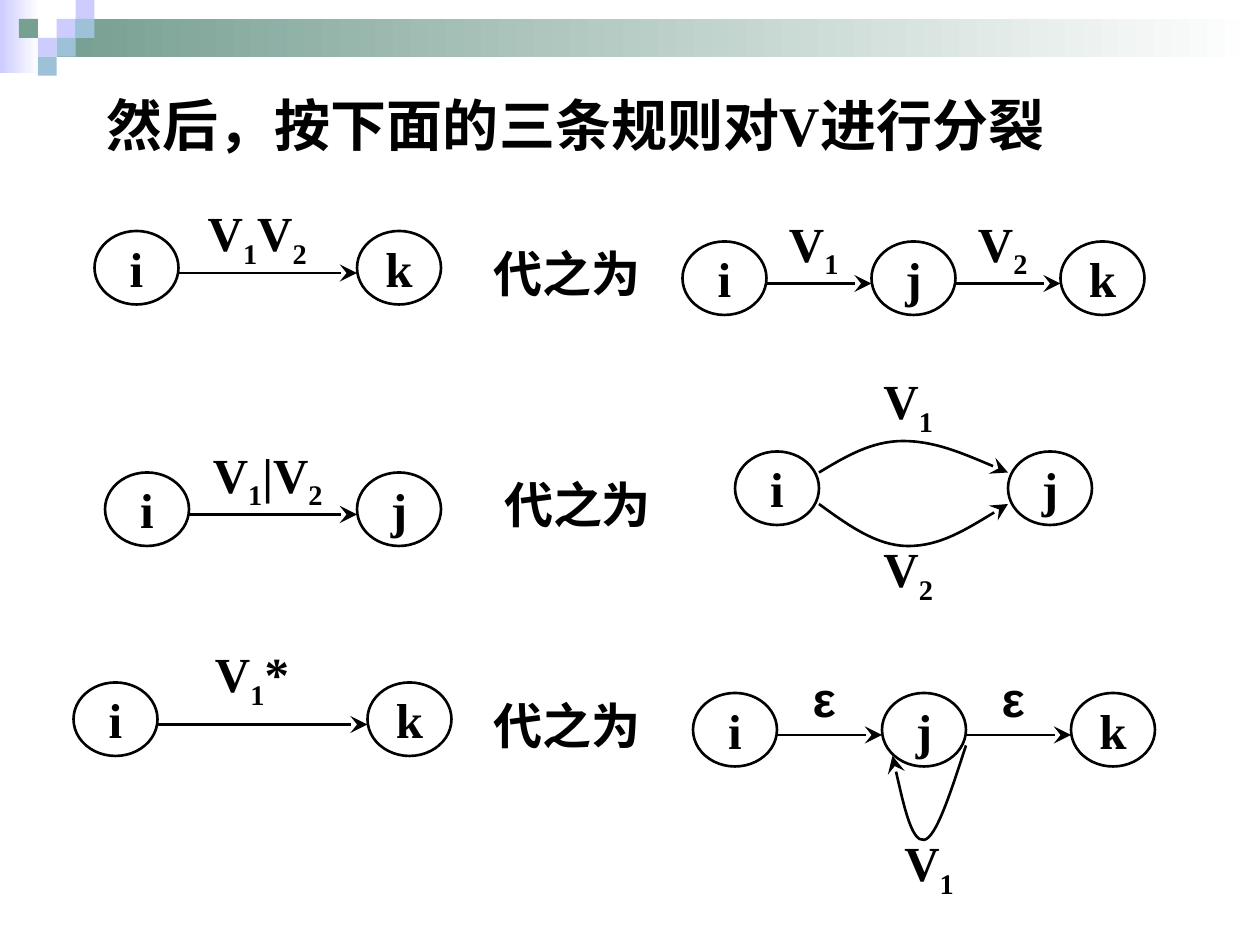
"""Build the slide with the three rules for splitting a regular expression edge."""
from dataclasses import dataclass
from itertools import groupby

from pptx import Presentation
from pptx.dml.color import RGBColor
from pptx.enum.shapes import MSO_CONNECTOR, MSO_SHAPE
from pptx.enum.text import MSO_ANCHOR, PP_ALIGN
from pptx.oxml.ns import qn
from pptx.oxml.xmlchemy import OxmlElement
from pptx.util import Pt


@dataclass(frozen=True)
class Theme:
    ink: RGBColor = RGBColor(0x00, 0x00, 0x00)
    white: RGBColor = RGBColor(0xFF, 0xFF, 0xFF)
    lilac: RGBColor = RGBColor(0xCC, 0xCC, 0xFF)
    green: RGBColor = RGBColor(0x77, 0x9F, 0x92)
    blue: RGBColor = RGBColor(0x9D, 0xC2, 0xD7)
    font: str = "Times New Roman"
    symbol_font: str = "Arial"
    title_size: int = 32
    size: int = 28
    line_width: float = 1.5


THEME = Theme()
NODE_W, NODE_H = 48, 42
EDGE_DROP = 24
TILE = 10.8


def add_text(tf, text, size=THEME.size, font=THEME.font, align=PP_ALIGN.CENTER):
    """Write bold text, setting digits as subscripts."""
    p = tf.paragraphs[0]
    p.alignment = align
    for is_digit, chars in groupby(text, str.isdigit):
        r = p.add_run()
        r.text = "".join(chars)
        r.font.name = font
        r.font.size = Pt(size)
        r.font.bold = True
        r.font.color.rgb = THEME.ink
        if is_digit:
            r._r.get_or_add_rPr().set("baseline", "-25000")


def add_label(s, text, x, y, w=66, h=42, font=THEME.font):
    """Add a centred one-line label without side margins."""
    tf = s.shapes.add_textbox(Pt(x), Pt(y), Pt(w), Pt(h)).text_frame
    tf.word_wrap = False
    tf.margin_left = tf.margin_right = 0
    tf.vertical_anchor = MSO_ANCHOR.MIDDLE
    add_text(tf, text, font=font)


def add_title(s, text):
    """Add the slide heading."""
    tf = s.shapes.add_textbox(Pt(54), Pt(48), Pt(612), Pt(54)).text_frame
    tf.word_wrap = True
    add_text(tf, text, size=THEME.title_size, align=PP_ALIGN.JUSTIFY)


def add_block(s, x, y, w, h, color, fade=False):
    """Add a header rectangle, solid or fading to white on the right."""
    sp = s.shapes.add_shape(MSO_SHAPE.RECTANGLE, Pt(x), Pt(y), Pt(w), Pt(h))
    sp.shadow.inherit = False
    sp.line.fill.background()
    if fade:
        sp.fill.gradient()
        sp.fill.gradient_angle = 180
        for stop, rgb in zip(sp.fill.gradient_stops, (THEME.white, color)):
            stop.color.rgb = rgb
        sp.fill.gradient_stops[0].position = 0
        sp.fill.gradient_stops[1].position = 1
    else:
        sp.fill.solid()
        sp.fill.fore_color.rgb = color


def add_header(s):
    """Add the fading bars and the mosaic of tiles."""
    add_block(s, 0, 0, 22.3, 41.8, THEME.lilac, fade=True)
    add_block(s, 3 * TILE, TILE, 720 - 3 * TILE, 2 * TILE, THEME.green, fade=True)
    tiles = {
        THEME.lilac: [(3, 1), (4, 0), (2, 2)],
        THEME.blue: [(4, 1), (3, 2), (2, 3)],
        THEME.green: [(1, 1)],
    }
    for color, cells in tiles.items():
        for col, row in cells:
            add_block(s, col * TILE, row * TILE, TILE, TILE, color)


def style_line(sp, arrow=False):
    """Give a shape the common outline, with an optional arrowhead."""
    sp.line.color.rgb = THEME.ink
    sp.line.width = Pt(THEME.line_width)
    if arrow:
        tail = OxmlElement("a:tailEnd")
        for key, value in (("type", "stealth"), ("w", "lg"), ("len", "lg")):
            tail.set(key, value)
        sp.line._get_or_add_ln().append(tail)


def add_node(s, name, x, y):
    """Add a state circle."""
    sp = s.shapes.add_shape(MSO_SHAPE.OVAL, Pt(x), Pt(y), Pt(NODE_W), Pt(NODE_H))
    sp.shadow.inherit = False
    sp.fill.background()
    style_line(sp)
    sp.text_frame.word_wrap = False
    sp.text_frame.vertical_anchor = MSO_ANCHOR.MIDDLE
    add_text(sp.text_frame, name)


def add_edge(s, x1, x2, y):
    """Add a straight arrow between two states."""
    cx = s.shapes.add_connector(MSO_CONNECTOR.STRAIGHT, Pt(x1), Pt(y), Pt(x2), Pt(y))
    style_line(cx, arrow=True)
    cx._element.spPr.append(OxmlElement("a:effectLst"))


def add_curve(s, start, *points):
    """Add a curved arrow through cubic Bezier points."""
    fb = s.shapes.build_freeform(Pt(start[0]), Pt(start[1]))
    fb.add_line_segments([(Pt(x), Pt(y)) for x, y in points], close=False)
    sp = fb.convert_to_shape()
    sp.shadow.inherit = False
    sp.fill.background()
    style_line(sp, arrow=True)
    segments = list(sp._element.iter(qn("a:lnTo")))
    for i in range(0, len(segments), 3):
        curve = OxmlElement("a:cubicBezTo")
        segments[i].addprevious(curve)
        for segment in segments[i:i + 3]:
            curve.append(segment[0])
            segment.getparent().remove(segment)


def add_chain(s, names, labels, x, y, step, dx=42, dy=-18, w=66, font=THEME.font):
    """Add evenly spaced states joined by labelled arrows."""
    for i, name in enumerate(names):
        add_node(s, name, x + i * step, y)
    for i, label in enumerate(labels):
        left = x + i * step
        add_edge(s, left + NODE_W, left + step, y + EDGE_DROP)
        add_label(s, label, left + dx, y + dy, w=w, font=font)


def main():
    """Build and save the slide."""
    prs = Presentation()
    prs.slide_width, prs.slide_height = Pt(720), Pt(540)
    s = prs.slides.add_slide(prs.slide_layouts[6])
    add_header(s)
    add_title(s, "然后，按下面的三条规则对V进行分裂")
    for x, y in [(276, 132), (282, 264), (276, 390)]:
        add_label(s, "代之为", x, y, w=96, h=48)

    add_chain(s, "ik", ["V1V2"], 54, 132, 150, dx=60)
    add_chain(s, "ijk", ["V1", "V2"], 390, 138, 108)

    add_chain(s, "ij", ["V1|V2"], 60, 270, 144, dx=60)
    add_chain(s, "ij", [], 420, 258, 156)
    add_curve(s, (468, 270), (483, 261), (498, 252), (516, 252),
              (534, 252), (555, 261), (576, 270))
    add_curve(s, (468, 288), (484.5, 300), (501, 312), (519, 312),
              (537, 312), (556.5, 300), (576, 288))
    add_label(s, "V1", 486, 210)
    add_label(s, "V2", 486, 306)

    add_chain(s, "ik", ["V1*"], 42, 390, 168, dx=60, dy=-24, w=84)
    add_chain(s, "ijk", "εε", 396, 396, 108, font=THEME.symbol_font)
    add_curve(s, (552, 426), (543.5, 452), (535, 479), (528, 480),
              (521, 481), (515.5, 456.5), (510, 432))
    add_label(s, "V1", 498, 474)
    prs.save("out.pptx")


if __name__ == "__main__":
    main()
